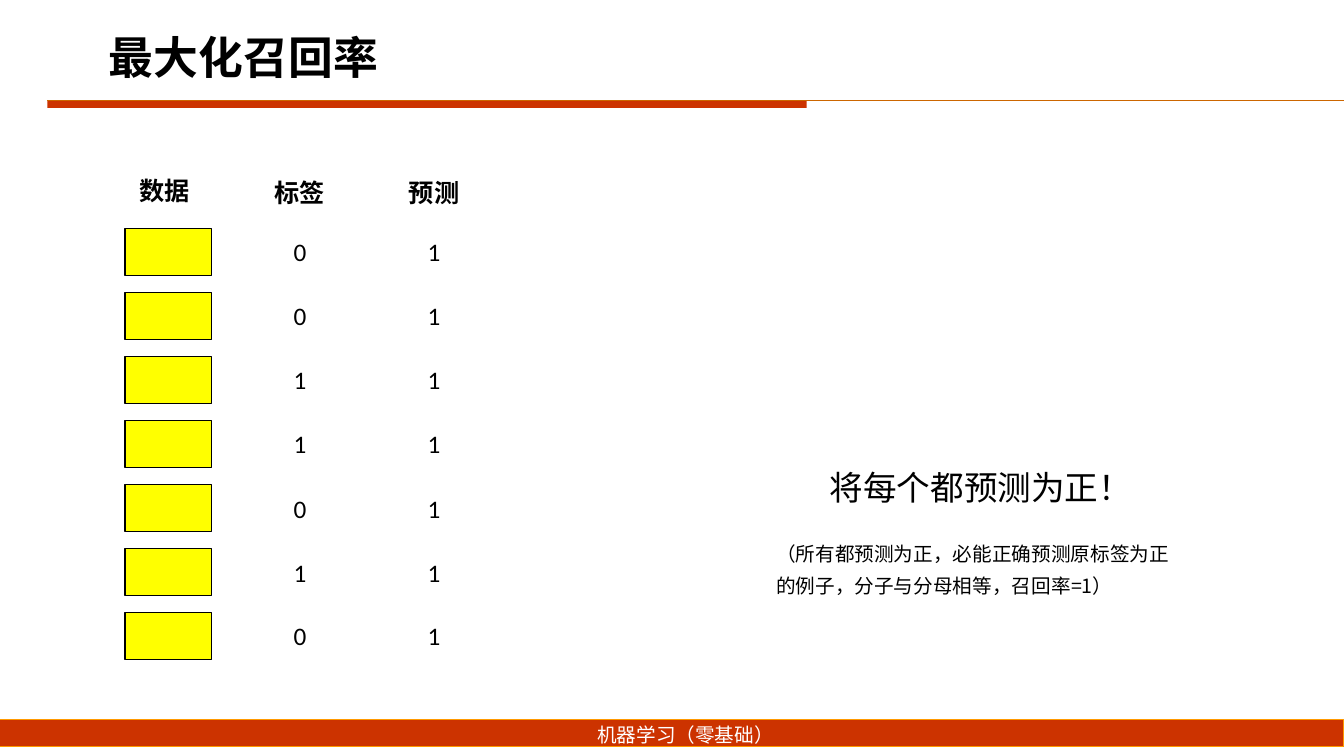
from lxml import etree
from pptx import Presentation
from pptx.dml.color import RGBColor
from pptx.enum import shapes, text
from pptx.oxml.ns import qn
from pptx.util import Inches, Pt

CJK = "Noto Sans CJK SC"
RED, ORANGE, BLACK = "CC3300", "CC6600", "000000"

prs = Presentation()
prs.slide_width, prs.slide_height = Inches(13.33), Inches(7.5)
s = prs.slides.add_slide(prs.slide_layouts[5])


def write(box, at, content, size, name=CJK, color=BLACK, bold=False,
          align=text.PP_ALIGN.LEFT, wrap=True, spacing=None):
    """Place a text shape and format its single paragraph."""
    box.left, box.top, box.width, box.height = map(Inches, at)
    tf = box.text_frame
    tf.text = content
    tf.word_wrap = wrap
    p = tf.paragraphs[0]
    p.alignment = align
    if spacing:
        p.line_spacing = Pt(spacing)
    f = p.font
    f.size, f.bold, f.name = Pt(size), bold, name
    f.color.rgb = RGBColor.from_string(color)
    etree.SubElement(f._element, qn("a:ea"), typeface=CJK)
    return tf


def bar(x, y, w, h, fill, line=None):
    """Draw a filled rectangle with an optional thin outline."""
    sp = s.shapes.add_shape(shapes.MSO_SHAPE.RECTANGLE, *map(Inches, (x, y, w, h)))
    sp.shadow.inherit = False
    sp.fill.solid()
    sp.fill.fore_color.rgb = RGBColor.from_string(fill)
    if line:
        sp.line.color.rgb = RGBColor.from_string(line)
        sp.line.width = Pt(0.75)
    else:
        sp.line.fill.background()


# Footer band
bar(-0.02, 7.14, 13.35, 0.27, RED, "FF9900")
write(s.shapes.add_textbox(0, 0, 0, 0), (3.36, 7.12, 6.88, 0.34), "机器学习（零基础）",
      14, "Calibri", "FFFFFF", align=text.PP_ALIGN.CENTER)

# Title and its rule
tf = write(s.shapes.title, (0.98, 0.39, 3.47, 0.51), "最大化召回率", 32,
           bold=True, spacing=26.9)
tf.vertical_anchor = text.MSO_ANCHOR.MIDDLE
tf.auto_size = text.MSO_AUTO_SIZE.NONE
bar(0.47, 1, 7.53, 0.07, RED)
rule = s.shapes.add_connector(shapes.MSO_CONNECTOR.STRAIGHT,
                              Inches(0.47), Inches(1), Inches(13.33), Inches(1))
rule.line.color.rgb = RGBColor.from_string(ORANGE)
rule.line.width = Pt(0.75)
etree.SubElement(rule._element.spPr, qn("a:effectLst"))

# Column headings
for x, y, heading, name in ((1.28, 1.69, "数据", CJK), (2.62, 1.71, "标签", "Calibri"),
                            (3.95, 1.71, "预测", "Calibri")):
    write(s.shapes.add_textbox(0, 0, 0, 0), (x, y, 0.71, 0.4), heading, 18, name,
          bold=True, align=text.PP_ALIGN.CENTER, wrap=False)

# One row per example: data box, label, prediction
for row, label in enumerate("0011010"):
    y = 2.27 + row * 0.635
    bar(1.24, y, 0.86, 0.46, "FFFF00", BLACK)
    for x, value in ((2.81, label), (4.14, "1")):
        write(s.shapes.add_textbox(0, 0, 0, 0), (x, y + 0.03, 0.33, 0.4), value, 18,
              "Calibri", align=text.PP_ALIGN.CENTER, wrap=False)

# Conclusion
tf = write(s.shapes.add_textbox(0, 0, 0, 0), (8.23, 4.71, 3.74, 0.33),
           "将每个都预测为正！", 24, spacing=23.1)
tf.margin_left = tf.margin_top = tf.margin_right = tf.margin_bottom = 0
write(s.shapes.add_textbox(0, 0, 0, 0), (7.6, 5.24, 4.16, 0.75),
      "（所有都预测为正，必能正确预测原标签为正的例子，分子与分母相等，召回率=1）",
      14, spacing=23.1)

prs.save("out.pptx")
